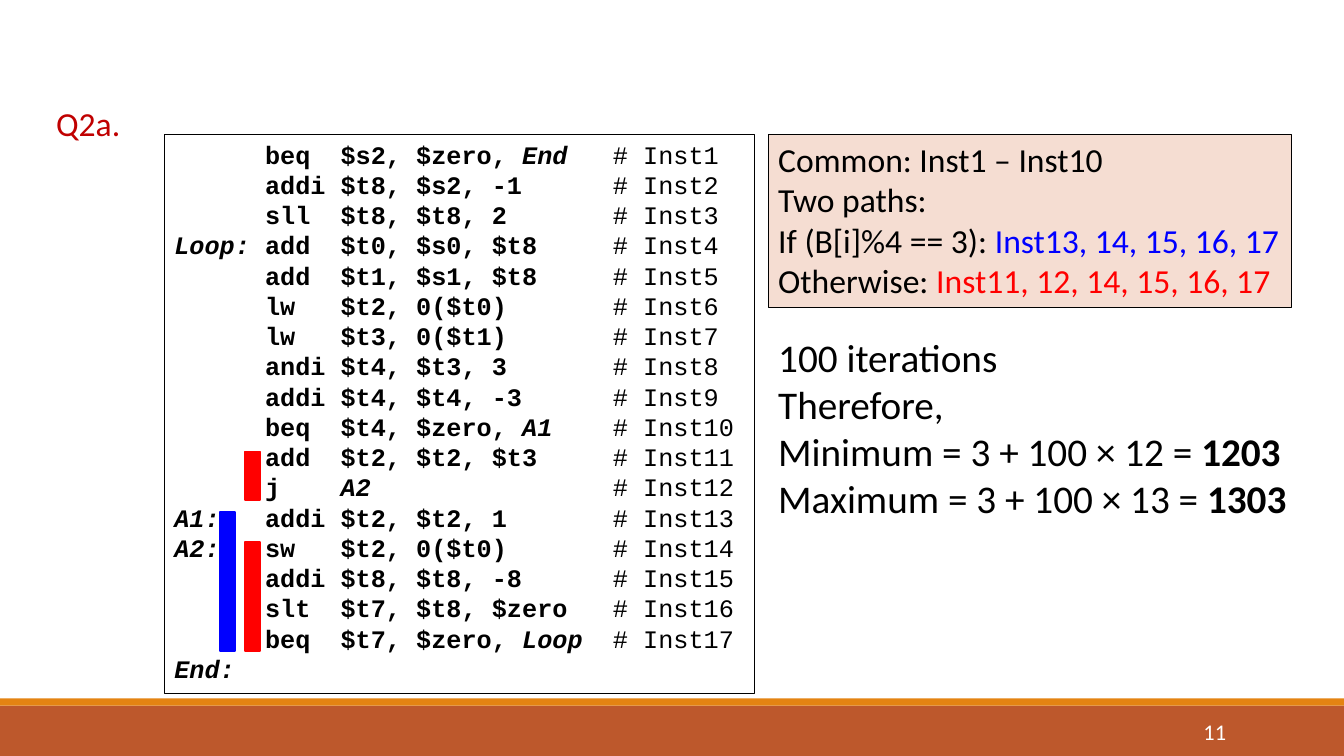
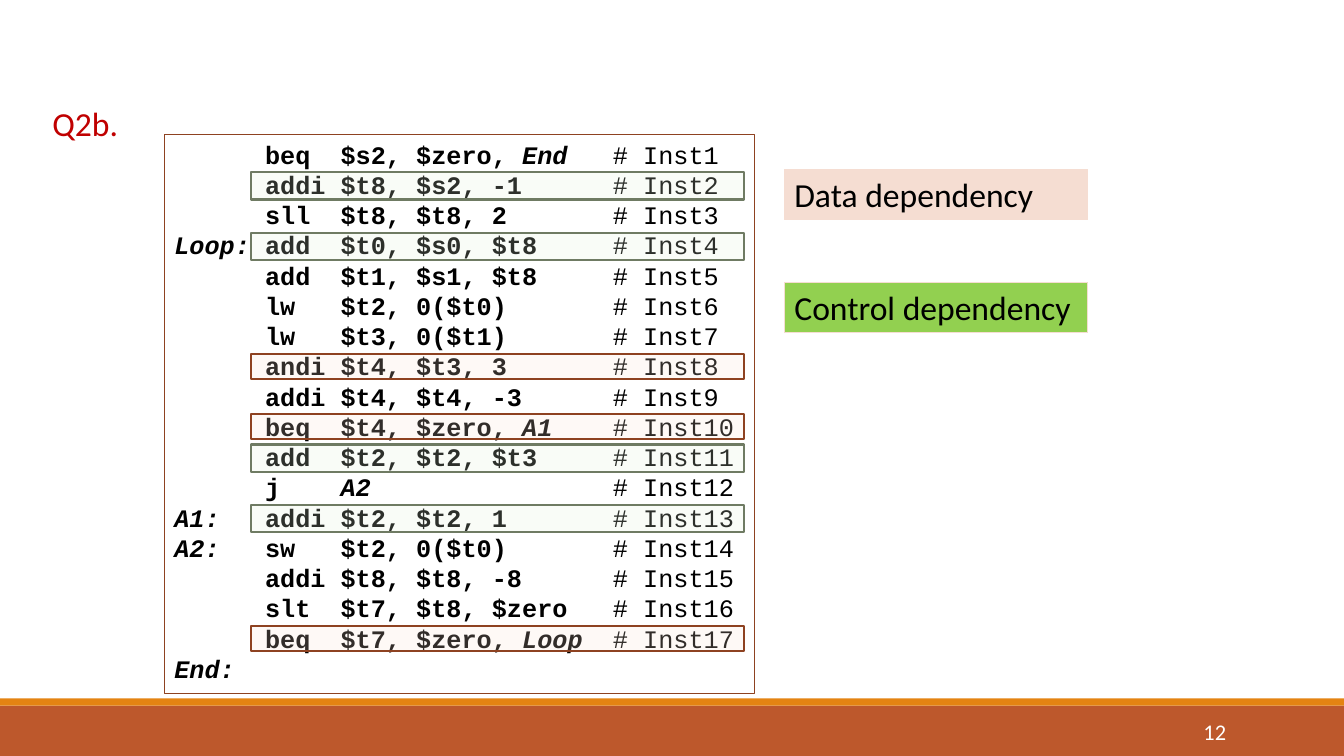
"""Builds two answer slides about instruction counts and dependencies in a MIPS loop."""
from dataclasses import dataclass

from pptx import Presentation
from pptx import util as u
from pptx.dml.color import RGBColor
from pptx.enum import shapes, text
from pptx.oxml import ns
from lxml import etree


@dataclass(frozen=True)
class Theme:
    body_font: str = "Calibri"
    code_font: str = "Courier New"
    band: str = "BD582C"
    stripe: str = "E48312"
    heading: str = "C00000"
    ink: str = "000000"
    white: str = "FFFFFF"
    peach: str = "F5DDD2"
    lime: str = "92D050"
    blue: str = "0000FF"
    red: str = "FF0000"
    rust: str = "8E4221"
    rust_tint: str = "FBE5D6"
    sage: str = "6F7B63"
    sage_tint: str = "E2F0D9"
    code_size: int = 18
    text_size: int = 24
    result_size: int = 28
    number_size: int = 16


THEME = Theme()
WIDTH, HEIGHT = 13.33, 7.5
BAND_TOP, STRIPE = 7, 0.07
CODE_BOX = (1.63, 1.33, 5.85, 5.55)
FIRST_ROW, ROW = 1.38, 0.3
LABEL_WIDTH, OPERATION_WIDTH, OPERAND_WIDTH = 6, 5, 18

PROGRAM = [
    ("", "beq", "$s2, $zero, ", "End"),
    ("", "addi", "$t8, $s2, -1", ""),
    ("", "sll", "$t8, $t8, 2", ""),
    ("Loop:", "add", "$t0, $s0, $t8", ""),
    ("", "add", "$t1, $s1, $t8", ""),
    ("", "lw", "$t2, 0($t0)", ""),
    ("", "lw", "$t3, 0($t1)", ""),
    ("", "andi", "$t4, $t3, 3", ""),
    ("", "addi", "$t4, $t4, -3", ""),
    ("", "beq", "$t4, $zero, ", "A1"),
    ("", "add", "$t2, $t2, $t3", ""),
    ("", "j", "", "A2"),
    ("A1:", "addi", "$t2, $t2, 1", ""),
    ("A2:", "sw", "$t2, 0($t0)", ""),
    ("", "addi", "$t8, $t8, -8", ""),
    ("", "slt", "$t7, $t8, $zero", ""),
    ("", "beq", "$t7, $zero, ", "Loop"),
]
END_LABEL = "End:"

PATHS = [
    [("Common: Inst1 – Inst10", {})],
    [("Two paths:", {})],
    [("If (B[i]%4 == 3): ", {}), ("Inst13, 14, 15, 16, 17", {"color": THEME.blue})],
    [("Otherwise: ", {}), ("Inst11, 12, 14, 15, 16, 17", {"color": THEME.red})],
]
RESULTS = [
    [("100 iterations", {})],
    [("Therefore,", {})],
    [("Minimum = 3 + 100 × 12 = ", {}), ("1203", {"bold": True})],
    [("Maximum = 3 + 100 × 13 = ", {}), ("1303", {"bold": True})],
]
PATH_BARS = [(13, 17, 2.18, THEME.blue), (11, 12, 2.43, THEME.red), (14, 17, 2.43, THEME.red)]
DEPENDENCIES = [
    ("Data dependency", 1.68, THEME.peach, THEME.rust_tint, THEME.rust, 0.25, (8, 10, 17)),
    ("Control dependency", 2.8, THEME.lime, THEME.sage_tint, THEME.sage, 0.27, (2, 4, 11, 13)),
]


def place(shape, area):
    shape.left, shape.top, shape.width, shape.height = map(u.Inches, area)


def write(shape, lines, size, font=THEME.body_font, color=THEME.ink,
          align=text.PP_ALIGN.LEFT, anchor=text.MSO_ANCHOR.TOP, grow=True):
    frame = shape.text_frame
    frame.word_wrap = True
    frame.vertical_anchor = anchor
    frame.auto_size = text.MSO_AUTO_SIZE.SHAPE_TO_FIT_TEXT if grow else text.MSO_AUTO_SIZE.NONE
    for index, line in enumerate(lines):
        para = frame.paragraphs[0] if index == 0 else frame.add_paragraph()
        para.alignment = align
        for words, style in line:
            span = para.add_run()
            span.text = words
            span.font.name = font
            span.font.size = u.Pt(size)
            span.font.bold = style.get("bold", False)
            span.font.italic = style.get("italic", False)
            span.font.color.rgb = RGBColor.from_string(style.get("color", color))


def add_box(page, area, fill=None, line=None, weight=0.75, opacity=None):
    box = page.shapes.add_shape(shapes.MSO_SHAPE.RECTANGLE, *map(u.Inches, area))
    box.shadow.inherit = False
    if fill:
        box.fill.solid()
        box.fill.fore_color.rgb = RGBColor.from_string(fill)
        if opacity:
            color = box.element.spPr.find(".//" + ns.qn("a:srgbClr"))
            etree.SubElement(color, ns.qn("a:alpha"), val=str(opacity * 1000))
    else:
        box.fill.background()
    if line:
        box.line.color.rgb = RGBColor.from_string(line)
        box.line.width = u.Pt(weight)
    else:
        box.line.fill.background()
    return box


def add_bands(page):
    tree = page.slide_layout.slide_master.element.cSld.spTree
    bands = [
        ((0, BAND_TOP, WIDTH, HEIGHT - BAND_TOP), THEME.band),
        ((0, BAND_TOP - STRIPE, WIDTH, STRIPE), THEME.stripe),
    ]
    for index, (area, color) in enumerate(bands):
        band = add_box(page, area, color).element
        band.nvSpPr.cNvPr.id = 100 + index
        tree.insert(2 + index, band)


def code_lines():
    bold, slanted = {"bold": True}, {"bold": True, "italic": True}
    lines = []
    for number, (label, operation, operands, target) in enumerate(PROGRAM, 1):
        target_width = OPERAND_WIDTH - len(operands)
        lines.append([
            (label.ljust(LABEL_WIDTH), slanted),
            (operation.ljust(OPERATION_WIDTH) + operands, bold),
            (target.ljust(target_width), slanted),
            (f"# Inst{number}", {}),
        ])
    return lines + [[(END_LABEL, slanted)]]


def row_top(number):
    return FIRST_ROW + (number - 1) * ROW


def add_page(deck, heading, left, number, outline):
    page = deck.slides.add_slide(deck.slide_layouts[5])
    title = page.shapes.title
    place(title, (left, 0.97, 0.99, 0.5))
    write(title, [[(heading, {})]], THEME.text_size, color=THEME.heading,
          align=text.PP_ALIGN.CENTER)
    write(add_box(page, CODE_BOX, line=outline), code_lines(), THEME.code_size, THEME.code_font)
    footer = page.shapes.add_textbox(*map(u.Inches, (10.83, 7.06, 1.43, 0.4)))
    write(footer, [[(str(number), {})]], THEME.number_size, color=THEME.white,
          align=text.PP_ALIGN.RIGHT, anchor=text.MSO_ANCHOR.MIDDLE, grow=False)
    return page


def add_counts(deck):
    page = add_page(deck, "Q2a.", 0.38, 11, THEME.ink)
    add_bands(page)
    write(add_box(page, (7.62, 1.33, 5.19, 1.72), THEME.peach, THEME.ink), PATHS, THEME.text_size)
    for first, last, left, color in PATH_BARS:
        top, bottom = row_top(first) + 0.1, row_top(last + 1) - 0.02
        add_box(page, (left, top, 0.15, bottom - top), color, color, 1.25)
    results = page.shapes.add_textbox(*map(u.Inches, (7.62, 3.26, 5.42, 1.99)))
    write(results, RESULTS, THEME.result_size)


def add_dependencies(deck):
    page = add_page(deck, "Q2b.", 0.35, 12, THEME.rust)
    for name, top, fill, tint, outline, height, rows in DEPENDENCIES:
        key = add_box(page, (7.78, top, 3.01, 0.5), fill, THEME.peach)
        write(key, [[(name, {})]], THEME.text_size)
        for number in rows:
            area = (2.49, row_top(number) + 0.03, 4.89, height)
            add_box(page, area, tint, outline, 1.5, opacity=20)


def main():
    deck = Presentation()
    deck.slide_width, deck.slide_height = u.Inches(WIDTH), u.Inches(HEIGHT)
    add_counts(deck)
    add_dependencies(deck)
    deck.save("out.pptx")


if __name__ == "__main__":
    main()
